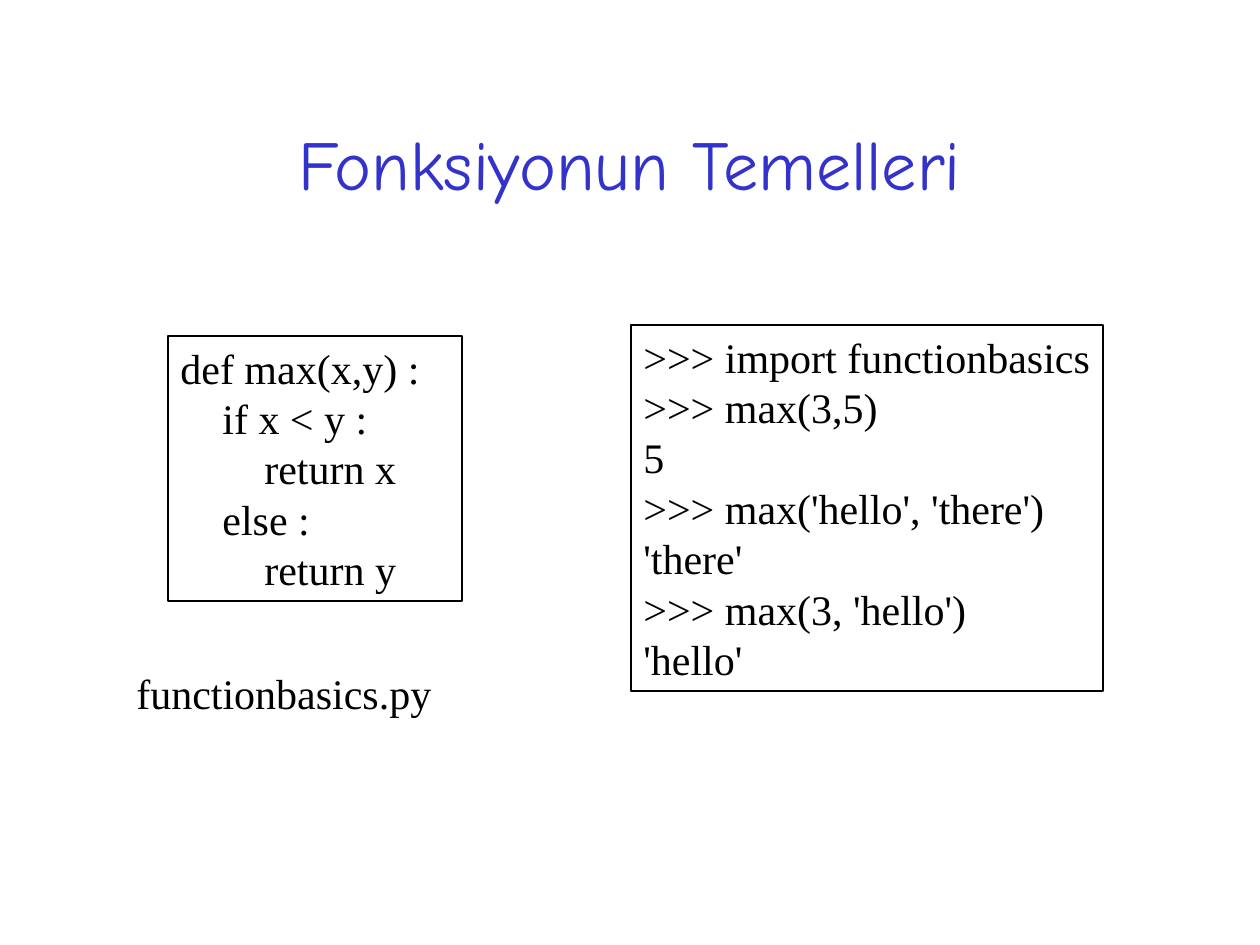
from dataclasses import dataclass

from pptx import Presentation
from pptx.dml.color import RGBColor
from pptx.enum.shapes import MSO_SHAPE
from pptx.enum.text import MSO_ANCHOR, MSO_AUTO_SIZE, PP_ALIGN
from pptx.util import Emu, Pt

# Content: each code line is (indent level, text)
TITLE = "Fonksiyonun Temelleri"
FUNCTION_CODE = [
    (0, "def max(x,y) :"),
    (1, "if x < y :"),
    (2, "return x"),
    (1, "else :"),
    (2, "return y"),
]
SESSION = [
    (0, ">>> import functionbasics"),
    (0, ">>> max(3,5)"),
    (0, "5"),
    (0, ">>> max('hello', 'there')"),
    (0, "'there'"),
    (0, ">>> max(3, 'hello')"),
    (0, "'hello'"),
]
FILE_NAME = [(0, "functionbasics.py")]


@dataclass(frozen=True)
class Theme:
    title_font: str = "Comic Neue"
    body_font: str = "Times New Roman"
    title_size: int = 40
    body_size: int = 24
    line_pitch: float = 28.8
    title_color: RGBColor = RGBColor(0x33, 0x33, 0xCC)
    ink: RGBColor = RGBColor(0, 0, 0)
    outline: float = 0.75


THEME = Theme()
PX = 914400 // 126
INDENT = 42  # one code level, in px


def px(*lengths):
    return [Emu(length * PX) for length in lengths]


def add_run(paragraph, text, font, size, color):
    run = paragraph.add_run()
    run.text = text
    run.font.name = font
    run.font.size = Pt(size)
    run.font.color.rgb = color


def write_lines(frame, lines, wrap=True):
    frame.word_wrap = wrap
    frame.auto_size = MSO_AUTO_SIZE.SHAPE_TO_FIT_TEXT
    frame.vertical_anchor = MSO_ANCHOR.TOP
    if not wrap:
        frame.margin_right = 0  # the longest line fills the box
    for number, (level, text) in enumerate(lines):
        paragraph = frame.add_paragraph() if number else frame.paragraphs[0]
        paragraph.alignment = PP_ALIGN.LEFT
        paragraph.line_spacing = Pt(THEME.line_pitch)
        if level:
            properties = paragraph._p.get_or_add_pPr()
            properties.set("marL", str(level * INDENT * PX))
            properties.set("indent", "0")
        add_run(paragraph, text, THEME.body_font, THEME.body_size, THEME.ink)


def add_code_box(slide, place, lines, wrap):
    box = slide.shapes.add_shape(MSO_SHAPE.RECTANGLE, *px(*place))
    box.shadow.inherit = False
    box.fill.background()
    box.line.color.rgb = THEME.ink
    box.line.width = Pt(THEME.outline)
    write_lines(box.text_frame, lines, wrap)


def main():
    presentation = Presentation()
    presentation.slide_width, presentation.slide_height = px(1260, 945)
    slide = presentation.slides.add_slide(presentation.slide_layouts[5])

    # Title
    title = slide.shapes.title
    title.left, title.top, title.width, title.height = px(94, 84, 1071, 158)
    title.text_frame.vertical_anchor = MSO_ANCHOR.MIDDLE
    heading = title.text_frame.paragraphs[0]
    heading.alignment = PP_ALIGN.CENTER
    add_run(heading, TITLE, THEME.title_font, THEME.title_size, THEME.title_color)

    # Function source and interactive session
    add_code_box(slide, (168, 336, 294, 265), FUNCTION_CODE, wrap=True)
    add_code_box(slide, (631, 325, 472, 366), SESSION, wrap=False)

    # File name under the source
    file_label = slide.shapes.add_textbox(*px(124, 661, 367, 63))
    write_lines(file_label.text_frame, FILE_NAME)

    presentation.save("out.pptx")


if __name__ == "__main__":
    main()
